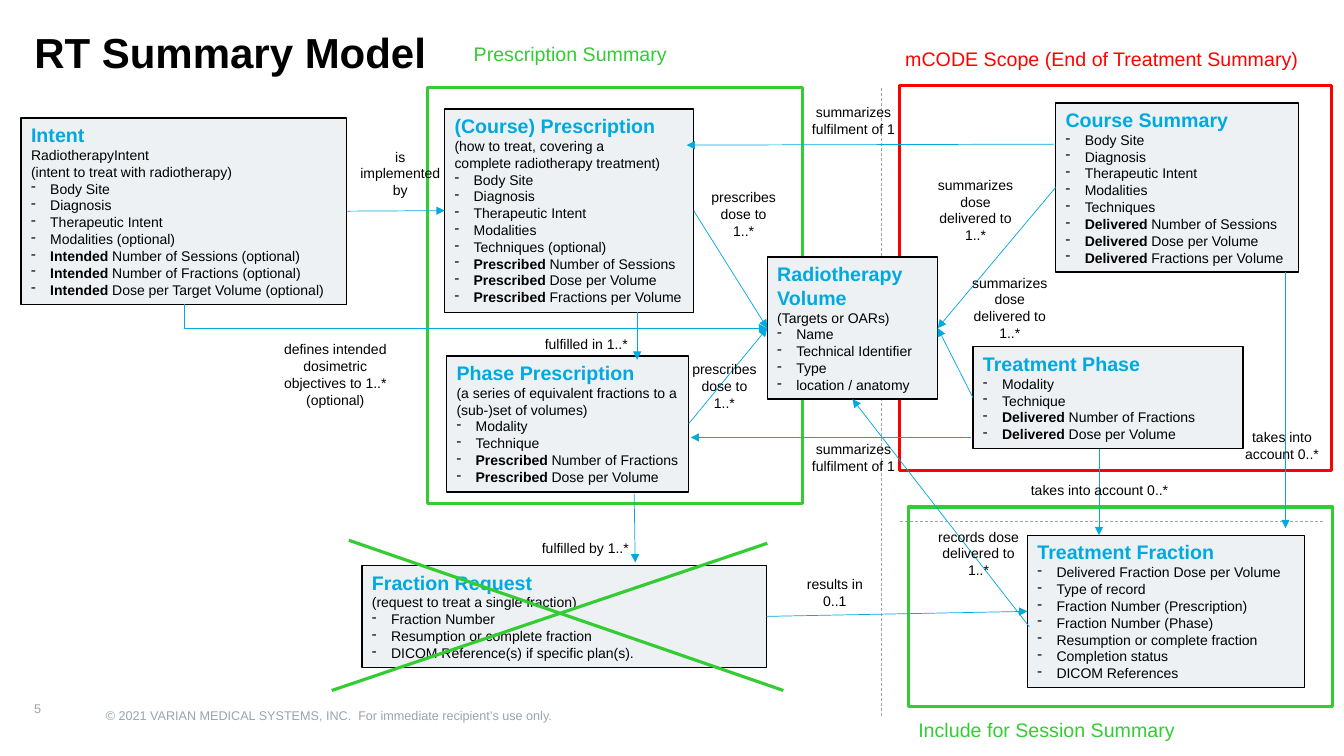
from dataclasses import dataclass
from typing import NamedTuple

from lxml import etree
from pptx import Presentation
from pptx.dml.color import RGBColor
from pptx.enum.dml import MSO_LINE
from pptx.enum.shapes import MSO_CONNECTOR, MSO_SHAPE
from pptx.enum.text import MSO_ANCHOR, MSO_AUTO_SIZE, PP_ALIGN
from pptx.oxml.ns import qn
from pptx.util import Emu, Pt

STRAIGHT, ELBOW = MSO_CONNECTOR.STRAIGHT, MSO_CONNECTOR.ELBOW
RECT, DASH = MSO_SHAPE.RECTANGLE, MSO_LINE.DASH
TOP, MIDDLE = MSO_ANCHOR.TOP, MSO_ANCHOR.MIDDLE
LEFT, CENTER = PP_ALIGN.LEFT, PP_ALIGN.CENTER
GROW, FIXED = MSO_AUTO_SIZE.SHAPE_TO_FIT_TEXT, MSO_AUTO_SIZE.NONE
WEST, SOUTH, EAST = 1, 2, 3
SCALE = 9144  # EMU per px, 100 px to the inch


@dataclass(frozen=True)
class Theme:
    font: str = "Arial"
    ink: str = "000000"
    blue: str = "00A9E0"
    green: str = "33CC33"
    red: str = "FF0000"
    grey: str = "98A4AE"
    panel: str = "EDF1F3"
    title: int = 30
    head: int = 14
    body: int = 10
    small: int = 9
    thin: float = 0.5
    edge: float = 1
    thick: float = 2.25


THEME = Theme()


class Area(NamedTuple):
    left: int
    top: int
    width: int
    height: int


class Point(NamedTuple):
    x: int
    y: int


class Joint(NamedTuple):
    box: str
    side: int


class Box(NamedTuple):
    """Lines that open with '- ' are bullets; text before '|' is bold."""
    name: str
    area: Area
    lines: list[str]


class Frame(NamedTuple):
    area: Area
    color: str
    label: str
    spot: Area


class Label(NamedTuple):
    area: Area
    lines: list[str]


class Link(NamedTuple):
    start: Point | Joint
    end: Point | Joint


BOXES = [
    Box("(Course) Prescription", Area(441, 108, 247, 202), [
        "(how to treat, covering a", "complete radiotherapy treatment)", "- Body Site",
        "- Diagnosis", "- Therapeutic Intent", "- Modalities", "- Techniques (optional)",
        "- Prescribed| Number of Sessions", "- Prescribed| Dose per Volume",
        "- Prescribed| Fractions per Volume"]),
    Box("Fraction Request", Area(359, 561, 401, 101), [
        "(request to treat a single fraction)", "- Fraction Number",
        "- Resumption or complete fraction", "- DICOM Reference(s) if specific plan(s)."]),
    Box("Course Summary", Area(1047, 102, 241, 168), [
        "- Body Site", "- Diagnosis", "- Therapeutic Intent", "- Modalities", "- Techniques",
        "- Delivered| Number of Sessions", "- Delivered| Dose per Volume",
        "- Delivered| Fractions per Volume"]),
    Box("Treatment Phase", Area(965, 344, 268, 101), [
        "- Modality", "- Technique", "- Delivered| Number of Fractions",
        "- Delivered| Dose per Volume"]),
    Box("Treatment Fraction", Area(1019, 531, 275, 151), [
        "- Delivered Fraction Dose per Volume", "- Type of record",
        "- Fraction Number (Prescription)", "- Fraction Number (Phase)",
        "- Resumption or complete fraction", "- Completion status", "- DICOM References"]),
    Box("Intent", Area(21, 117, 323, 185), [
        "RadiotherapyIntent", "(intent to treat with radiotherapy)", "- Body Site",
        "- Diagnosis", "- Therapeutic Intent", "- Modalities (optional)",
        "- Intended| Number of Sessions (optional)", "- Intended| Number of Fractions (optional)",
        "- Intended| Dose per Target Volume (optional)"]),
    Box("Phase Prescription", Area(443, 353, 240, 135), [
        "(a series of equivalent fractions to a (sub-)set of volumes)", "- Modality",
        "- Technique", "- Prescribed| Number of Fractions", "- Prescribed| Dose per Volume"]),
    Box("Radiotherapy Volume", Area(761, 255, 169, 141), [
        "(Targets or OARs)", "- Name", "- Technical Identifier", "- Type",
        "- location / anatomy"]),
]
FRAMES = [
    Frame(Area(892, 85, 429, 382), THEME.red,
          "mCODE Scope (End of Treatment Summary)", Area(888, 30, 426, 53)),
    Frame(Area(901, 503, 421, 198), THEME.green,
          "Include for Session Summary", Area(901, 696, 303, 53)),
    Frame(Area(424, 87, 372, 413), THEME.green,
          "Prescription Summary", Area(460, 25, 324, 53)),
]
LABELS = [
    Label(Area(784, 566, 88, 44), ["results in 0..1"]),
    Label(Area(516, 328, 131, 27), ["fulfilled in 1..*"]),
    Label(Area(523, 530, 115, 27), ["fulfilled by 1..*"]),
    Label(Area(1218, 420, 107, 44), ["takes into account 0..*"]),
    Label(Area(1010, 473, 161, 27), ["takes into account 0..*"]),
    Label(Area(345, 142, 104, 61), ["is", "implemented", "by"]),
    Label(Area(793, 432, 107, 44), ["summarizes fulfilment of 1"]),
    Label(Area(793, 98, 107, 44), ["summarizes fulfilment of 1"]),
    Label(Area(948, 267, 107, 77), ["summarizes dose delivered to", "1..*"]),
    Label(Area(914, 170, 107, 77), ["summarizes dose delivered to 1..*"]),
    Label(Area(917, 519, 107, 61), ["records dose delivered to", "1..*"]),
    Label(Area(692, 182, 91, 61), ["prescribes dose to", "1..*"]),
    Label(Area(673, 353, 91, 61), ["prescribes dose to", "1..*"]),
    Label(Area(267, 333, 131, 77), ["defines intended dosimetric objectives to 1..*", "(optional)"]),
]
TARGET = "Radiotherapy Volume"
LINKS = [
    Link(Point(1047, 143), Point(681, 144)),
    Link(Joint("Intent", EAST), Joint("(Course) Prescription", WEST)),
    Link(Joint("Fraction Request", EAST), Joint("Treatment Fraction", WEST)),
    Link(Point(963, 434), Point(685, 434)),
    Link(Point(632, 310), Point(632, 357)),
    Link(Point(629, 490), Point(630, 558)),
    Link(Point(1090, 445), Point(1090, 531)),
    Link(Point(1275, 270), Point(1275, 524)),
    Link(Joint("Course Summary", WEST), Joint(TARGET, EAST)),
    Link(Joint("Treatment Phase", WEST), Joint(TARGET, EAST)),
    Link(Point(1021, 622), Joint(TARGET, SOUTH)),
    Link(Joint("Phase Prescription", EAST), Joint(TARGET, WEST)),
    Link(Joint("(Course) Prescription", EAST), Joint(TARGET, WEST)),
]
GUIDES = [Link(Point(874, 87), Point(874, 711)), Link(Point(1312, 517), Point(891, 517))]
CROSS = [Link(Point(329, 685), Point(761, 539)), Link(Point(346, 536), Point(777, 685))]


def emu(area: tuple) -> list[Emu]:
    return [Emu(n * SCALE) for n in area]


def write(shape, lines: list[str], *, size: int = THEME.body, color: str = THEME.ink,
          bold: bool = False, align=LEFT, anchor=TOP, fit=FIXED, wrap: bool = True,
          inset: bool = True, space: float = 1, head: str = "") -> None:
    """Fill a shape with paragraphs, under a heading if one is given."""
    frame = shape.text_frame
    frame.word_wrap, frame.auto_size, frame.vertical_anchor = wrap, fit, anchor
    if not inset:
        frame.margin_left = frame.margin_right = frame.margin_top = frame.margin_bottom = 0
    rows = [(line, size, color, bold) for line in lines]
    if head:
        rows.insert(0, (head, THEME.head, THEME.blue, True))
    for i, (line, points, tint, heavy) in enumerate(rows):
        para = frame.paragraphs[0] if i == 0 else frame.add_paragraph()
        para.alignment, para.line_spacing = align, space
        if line.startswith("- "):
            line = line[2:]
            props = para._p.get_or_add_pPr()
            props.set("marL", str(19 * SCALE))
            props.set("indent", str(-19 * SCALE))
            etree.SubElement(props, qn("a:buChar")).set("char", "-")
        strong, _, rest = line.rpartition("|")
        for text, thick in ((strong, True), (rest, heavy)):
            if text:
                run = para.add_run()
                run.text = text
                font = run.font
                font.name, font.size, font.bold = THEME.font, Pt(points), thick
                font.color.rgb = RGBColor.from_string(tint)


def panel(slide, area: Area, edge: str, width: float, fill: str = ""):
    shape = slide.shapes.add_shape(RECT, *emu(area))
    shape.shadow.inherit = False
    if fill:
        shape.fill.solid()
        shape.fill.fore_color.rgb = RGBColor.from_string(fill)
    else:
        shape.fill.background()
    shape.line.color.rgb = RGBColor.from_string(edge)
    shape.line.width = Pt(width)
    return shape


def wire(slide, link: Link, boxes: dict, *, color: str = THEME.blue, width: float = THEME.thin,
         arrow: bool = False, dash: bool = False, kind=STRAIGHT):
    ends = [Point(0, 0) if isinstance(end, Joint) else end for end in link]
    line = slide.shapes.add_connector(kind, *emu(ends[0] + ends[1]))
    for end, join in zip(link, (line.begin_connect, line.end_connect)):
        if isinstance(end, Joint):
            join(boxes[end.box], end.side)
    line.line.color.rgb = RGBColor.from_string(color)
    line.line.width = Pt(width)
    if dash:
        line.line.dash_style = DASH
    if arrow:
        etree.SubElement(line.line._get_or_add_ln(), qn("a:tailEnd")).set("type", "triangle")
    etree.SubElement(line._element.spPr, qn("a:effectLst"))
    return line


def bend(line) -> None:
    """Turn an elbow into a single corner: down, then right."""
    wide, high = line.width, line.height
    mid_x, mid_y = line.left + wide // 2, line.top + high // 2
    line.left, line.top = Emu(mid_x - high // 2), Emu(mid_y - wide // 2)
    line.width, line.height = high, wide
    props = line._element.spPr
    props.find(qn("a:prstGeom")).set("prst", "bentConnector2")
    form = props.find(qn("a:xfrm"))
    form.set("rot", str(270 * 60000))
    form.set("flipH", "1")


def main() -> None:
    deck = Presentation()
    deck.slide_width, deck.slide_height = emu((1333, 750))
    slide = deck.slides.add_slide(deck.slide_layouts[5])
    title = slide.shapes.title
    title.left, title.top, title.width, title.height = emu((24, 27, 1230, 68))
    write(title, ["RT Summary Model"], size=THEME.title, bold=True, space=0.9)

    def note(area: Area, lines: list[str], **style) -> None:
        write(slide.shapes.add_textbox(*emu(area)), lines, **style)

    note(Area(105, 702, 880, 25),
         ["© 2021 VARIAN MEDICAL SYSTEMS, INC.  For immediate recipient’s use only."],
         size=THEME.small, color=THEME.grey, wrap=False, inset=False)
    note(Area(24, 682, 36, 42), ["5"], size=THEME.small, color=THEME.grey, anchor=MIDDLE)
    for link in GUIDES:
        wire(slide, link, {}, color=THEME.grey, dash=True)
    for area, color, label, spot in FRAMES:
        panel(slide, area, color, THEME.thick)
        note(spot, [label], size=THEME.head, color=color, space=1.5)
    boxes = {}
    for name, area, lines in BOXES:
        boxes[name] = panel(slide, area, THEME.ink, THEME.edge, THEME.panel)
        write(boxes[name], lines, head=name, fit=GROW)
    for link in LINKS:
        wire(slide, link, boxes, arrow=True)
    aim = Link(Joint("Intent", SOUTH), Joint(TARGET, WEST))
    bend(wire(slide, aim, boxes, arrow=True, kind=ELBOW))
    for link in CROSS:
        wire(slide, link, boxes, color=THEME.green, width=THEME.thick)
    for area, lines in LABELS:
        note(area, lines, align=CENTER, fit=GROW)
    deck.save("out.pptx")


if __name__ == "__main__":
    main()
